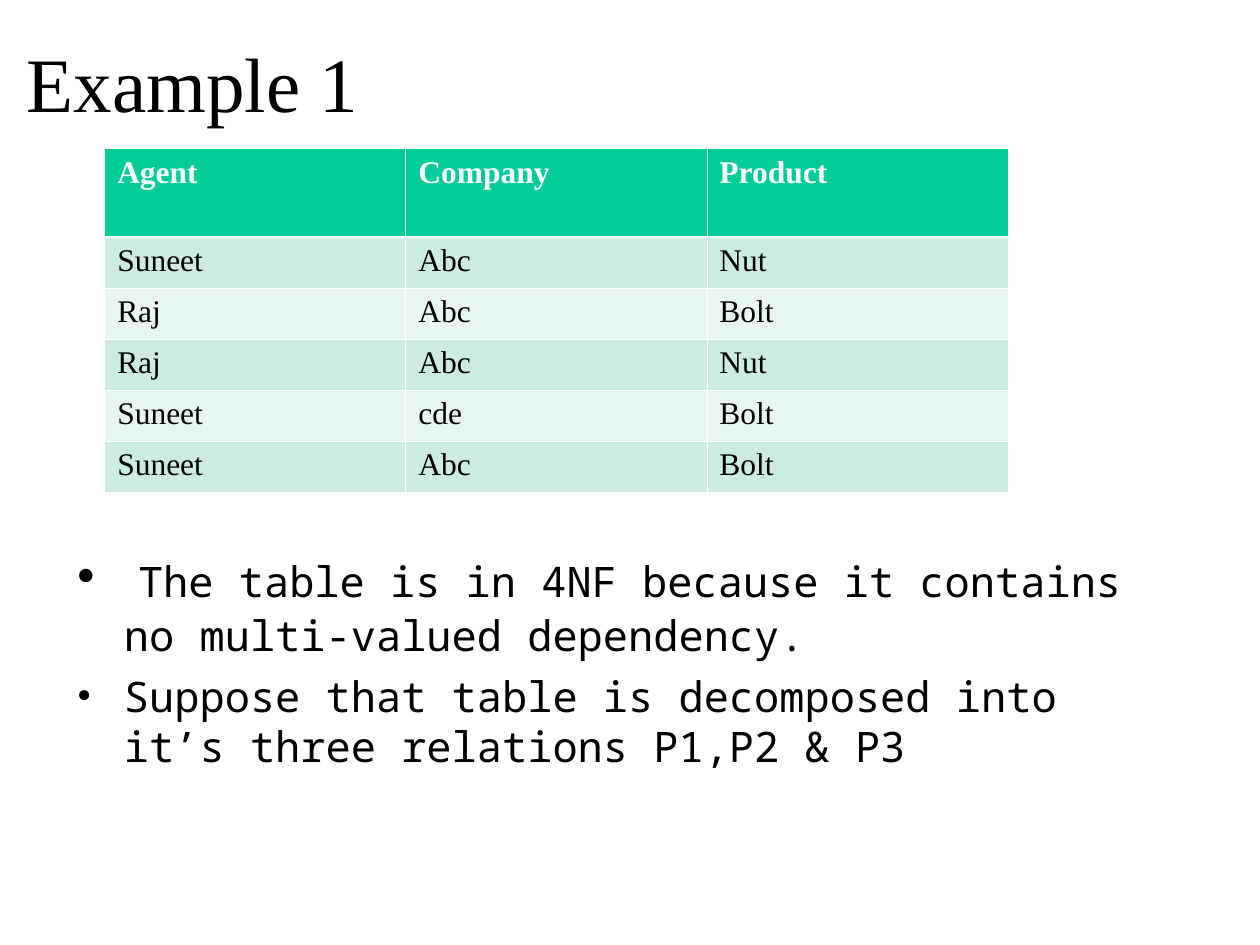
from dataclasses import dataclass
from lxml import etree
from pptx import Presentation
from pptx.dml.color import RGBColor
from pptx.enum.text import MSO_ANCHOR, PP_ALIGN
from pptx.oxml.ns import qn
from pptx.util import Cm, Pt

TOP = MSO_ANCHOR.TOP
MID = PP_ALIGN.CENTER


@dataclass(frozen=True)
class Theme:
    serif: str = "Times New Roman"
    mono: str = "Noto Sans Mono"
    ink: str = "000000"
    white: str = "FFFFFF"
    head: str = "00CC99"
    bands: tuple = ("CBECDE", "E7F6EF")
    title: int = 44
    lead: int = 32
    body: int = 24
    cell: int = 18
    thin: float = 0.45
    thick: float = 1.47


THEME = Theme()
ROWS = [
    ("Agent", "Company", "Product"),
    ("Suneet", "Abc", "Nut"),
    ("Raj", "Abc", "Bolt"),
    ("Raj", "Abc", "Nut"),
    ("Suneet", "cde", "Bolt"),
    ("Suneet", "Abc", "Bolt"),
]
NOTES = [
    " The table is in 4NF because it contains no multi-valued dependency.",
    "Suppose that table is decomposed into it’s three relations P1,P2 & P3",
]


def style(run, face, size, color=THEME.ink, bold=False):
    font = run.font
    font.name, font.size, font.bold = face, Pt(size), bold
    font.color.rgb = RGBColor.from_string(color)


def add_title(slide, text):
    shape = slide.shapes.title
    shape.left, shape.top = Cm(-6.91), Cm(0.71)
    shape.width, shape.height = Cm(21.59), Cm(3.18)
    frame = shape.text_frame
    frame.text = text
    frame.vertical_anchor = TOP
    frame.margin_top = 0
    para = frame.paragraphs[0]
    para.alignment = MID
    style(para.runs[0], THEME.serif, THEME.title)


def add_edge(cell, side, width):
    line = etree.SubElement(cell._tc.get_or_add_tcPr(), qn("a:" + side), w=str(Pt(width)))
    fill = etree.SubElement(line, qn("a:solidFill"))
    etree.SubElement(fill, qn("a:srgbClr"), val=THEME.white)


def fill_cell(cell, text, row):
    head = row == 0
    cell.text = text
    color = THEME.white if head else THEME.ink
    style(cell.text_frame.paragraphs[0].runs[0], THEME.serif, THEME.cell, color, head)
    for side in ("lnL", "lnR", "lnT", "lnB"):
        rule = (row, side) in ((0, "lnB"), (1, "lnT"))
        add_edge(cell, side, THEME.thick if rule else THEME.thin)
    cell.fill.solid()
    back = THEME.head if head else THEME.bands[(row - 1) % 2]
    cell.fill.fore_color.rgb = RGBColor.from_string(back)


def add_grid(slide, rows):
    frame = slide.shapes.add_table(
        len(rows), len(rows[0]), Cm(2.11), Cm(3), Cm(18.21), Cm(6.93))
    table = frame.table
    for row, texts in enumerate(rows):
        table.rows[row].height = Cm(1.03 if row else 1.78)
        for col, text in enumerate(texts):
            fill_cell(table.cell(row, col), text, row)


def add_bullet(para):
    props = para._p.get_or_add_pPr()
    props.set("marL", str(Cm(0.95)))
    props.set("indent", str(Cm(-0.95)))
    color = etree.SubElement(props, qn("a:buClr"))
    etree.SubElement(color, qn("a:srgbClr"), val=THEME.ink)
    etree.SubElement(props, qn("a:buFont"), typeface=THEME.serif)
    etree.SubElement(props, qn("a:buChar"), char="•")


def add_notes(slide, notes):
    box = slide.shapes.add_textbox(Cm(1.3), Cm(10.8), Cm(21.59), Cm(11.43))
    frame = box.text_frame
    frame.word_wrap = True
    for index, note in enumerate(notes):
        para = frame.add_paragraph() if index else frame.paragraphs[0]
        add_bullet(para)
        if index:
            para.space_before = Pt(6)
        text = note.lstrip()
        if text != note:
            lead = para.add_run()
            lead.text = " "
            style(lead, THEME.serif, THEME.lead)
        run = para.add_run()
        run.text = text
        style(run, THEME.mono, THEME.body)


def main():
    deck = Presentation()
    deck.slide_width, deck.slide_height = Cm(25.4), Cm(19.05)
    slide = deck.slides.add_slide(deck.slide_layouts[5])
    add_title(slide, "Example 1")
    add_grid(slide, ROWS)
    add_notes(slide, NOTES)
    deck.save("out.pptx")


if __name__ == "__main__":
    main()
